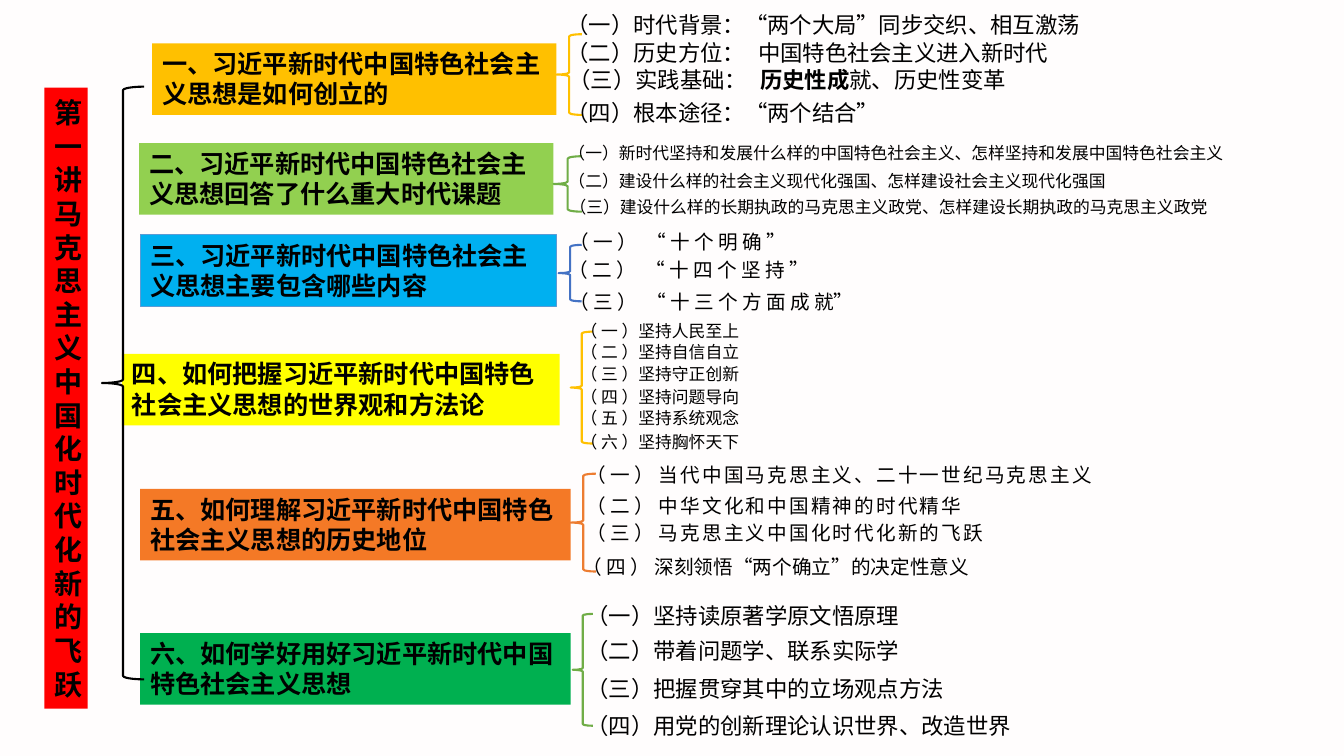
from dataclasses import dataclass, field

from lxml import etree
from pptx import Presentation
from pptx.dml.color import RGBColor
from pptx.enum.lang import MSO_LANGUAGE_ID
from pptx.enum.shapes import MSO_SHAPE
from pptx.enum.text import MSO_ANCHOR, MSO_AUTO_SIZE, PP_ALIGN
from pptx.oxml.ns import qn
from pptx.util import Inches, Pt

RECTANGLE, LEFT_BRACE = MSO_SHAPE.RECTANGLE, MSO_SHAPE.LEFT_BRACE
LEFT, JUSTIFY = PP_ALIGN.LEFT, PP_ALIGN.JUSTIFY
TOP, MIDDLE = MSO_ANCHOR.TOP, MSO_ANCHOR.MIDDLE
GROW = MSO_AUTO_SIZE.SHAPE_TO_FIT_TEXT
CHINESE = MSO_LANGUAGE_ID.SIMPLIFIED_CHINESE


@dataclass(frozen=True)
class Theme:
    font: str = "Noto Sans CJK SC"
    latin: str = "Arial"
    ink: str = "000000"
    page: str = "FFFDFD"
    banner: str = "FF0000"
    banner_size: int = 20
    heading_size: int = 18
    large: int = 16
    medium: int = 14
    small: int = 12
    brace_line: float = 1.5
    edge_line: float = 0.75


THEME = Theme()


@dataclass(frozen=True)
class Box:
    left: float
    top: float
    width: float
    height: float

    def inner(self, left, top, width, height):
        return Box(self.left + left, self.top + top, width, height)

    def lengths(self):
        return [Inches(n) for n in (self.left, self.top, self.width, self.height)]


@dataclass(frozen=True)
class Topic:
    region: Box
    title: str
    heading: tuple
    fill: str
    brace: tuple
    brace_color: str
    size: int
    rows: list
    edge: str = ""
    font: str = THEME.font
    tab: float = 0
    spacing: dict = field(default_factory=dict)


TOPICS = [
    Topic(Box(1.2, 0.06, 10.5, 1.24), "一、习近平新时代中国特色社会主义思想是如何创立的",
          (0.31, 0.37, 4.01, 0.71), "FFC000", (4.32, 0.28, 0.25, 0.8), "FFC000", THEME.large, [
              (4.32, 0, [("（一）时代背景：“两个大局”同步交织、相互激荡", {})]),
              (4.32, 0.28, [("（二）历史方位：\t中国特色社会主义进入新时代", {})]),
              (4.34, 0.55, [("（三）实践基础：\t", {}), ("历史性成", {"bold": True}), ("就、历史性变革", {})]),
              (4.32, 0.87, [("（四）根本途径：“两个结合”", {})])],
          font=THEME.latin, tab=1.9),
    Topic(Box(1.2, 1.27, 11.5, 0.93), "二、习近平新时代中国特色社会主义思想回答了什么重大时代课题",
          (0.18, 0.15, 4.11, 0.71), "92D050", (4.29, 0.28, 0.28, 0.55), "70AD47", THEME.small, [
              (4.34, 0, [("（一）新时代坚持和发展什么样的中国特色社会主义、怎样坚持和发展中国特色社会主义", {})]),
              (4.34, 0.37, [("（二）建设什么样的社会主义现代化强国、怎样建设社会主义现代化强国", {})]),
              (4.35, 0.53, [("（三）建设什么样的长期执政的马克思主义政党、怎样建设长期执政的马克思主义政党", {})])],
          spacing={0: 1.5, 2: 1.5}),
    Topic(Box(1.2, 2.23, 9, 0.94), "三、习近平新时代中国特色社会主义思想主要包含哪些内容",
          (0.19, 0.1, 4.13, 0.71), "00B0F0", (4.34, 0.2, 0.23, 0.56), "4472C4", THEME.medium, [
              (4.35, 0, [("（ 一 ）\t“ 十 个 明 确 ”", {})]),
              (4.34, 0.28, [("（ 二 ）\t“ 十 四 个 坚 持 ”", {})]),
              (4.35, 0.6, [("（ 三 ）\t“ 十 三 个 方 面 成 就”", {})])],
          edge="5B9BD5", tab=0.76),
    Topic(Box(1.2, 3.13, 8.5, 1.4), "四、如何把握习近平新时代中国特色社会主义思想的世界观和方法论",
          (0.01, 0.38, 4.34, 0.71), "FFFF00", (4.46, 0.16, 0.22, 1.11), "FFC000", THEME.small, [
              (4.46, 0, [("（ 一 ）坚持人民至上", {})]),
              (4.46, 0.21, [("（ 二 ）坚持自信自立", {})]),
              (4.46, 0.43, [("（ 三 ）坚持守正创新", {})]),
              (4.46, 0.66, [("（ 四 ）坚持问题导向", {})]),
              (4.46, 0.87, [("（ 五 ）坚持系统观念", {})]),
              (4.46, 1.1, [("（ 六 ）坚持胸怀天下", {})])]),
    Topic(Box(1.2, 4.54, 11.2, 1.26), "五、如何理解习近平新时代中国特色社会主义思想的历史地位",
          (0.19, 0.31, 4.27, 0.71), "F47926", (4.46, 0.16, 0.25, 0.97), "ED7D31", THEME.medium, [
              (4.52, 0, [("（ 一 ） ", {}), ("当代中国马克思主义、二十一世纪马克思主义", {"tracking": 1.5})]),
              (4.52, 0.31, [("（ 二 ） ", {}), ("中华文化和中国精神的时代精华", {"tracking": 1.5})]),
              (4.52, 0.58, [("（ 三 ） ", {}), ("马克思主义中国化时代化新的飞跃", {"tracking": 1.5})]),
              (4.48, 0.92, [("（ 四 ） 深刻领悟“两个确立”的决定性意义", {})])]),
    Topic(Box(1.2, 5.92, 11.5, 1.47), "六、如何学好用好习近平新时代中国特色社会主义思想",
          (0.19, 0.36, 4.27, 0.71), "00B050", (4.48, 0.17, 0.2, 1.11), "70AD47", THEME.large, [
              (4.52, 0, [("（一）坚持读原著学原文悟原理", {})]),
              (4.52, 0.35, [("（二）带着问题学、联系实际学", {})]),
              (4.52, 0.73, [("（三）把握贯穿其中的立场观点方法", {})]),
              (4.52, 1.1, [("（四）用党的创新理论认识世界、改造世界", {})])]),
]


def color(value):
    return RGBColor.from_string(value)


def add_span(para, text, size, font=THEME.font, bold=False, tracking=0):
    span = para.add_run()
    span.text = text
    formats = {"size": Pt(size), "name": font, "bold": bold, "language_id": CHINESE}
    for name, value in formats.items():
        setattr(span.font, name, value)
    span.font.color.rgb = color(THEME.ink)
    properties = span.font._element
    if tracking:
        properties.set("spc", str(int(tracking * 100)))
    east_asian = etree.Element(qn("a:ea"), typeface=THEME.font)
    properties.find(qn("a:latin")).addnext(east_asian)


def add_tab(para, position):
    tabs = etree.SubElement(para._p.get_or_add_pPr(), qn("a:tabLst"))
    etree.SubElement(tabs, qn("a:tab"), pos=str(Inches(position)), algn="l")


def prepare_frame(shape, anchor):
    frame = shape.text_frame
    formats = {"word_wrap": True, "auto_size": GROW, "vertical_anchor": anchor}
    for name, value in formats.items():
        setattr(frame, name, value)
    return frame


def add_panel(page, box, fill, paragraphs, size, align, edge=""):
    panel = page.shapes.add_shape(RECTANGLE, *box.lengths())
    panel.shadow.inherit = False
    panel.fill.solid()
    panel.fill.fore_color.rgb = color(fill)
    if edge:
        panel.line.color.rgb = color(edge)
        panel.line.width = Pt(THEME.edge_line)
    else:
        panel.line.fill.background()
    frame = prepare_frame(panel, MIDDLE if align == JUSTIFY else TOP)
    for index, text in enumerate(paragraphs):
        para = frame.add_paragraph() if index else frame.paragraphs[0]
        para.alignment = align
        add_span(para, text, size, bold=True)


def add_brace(page, box, line_color):
    brace = page.shapes.add_shape(LEFT_BRACE, *box.lengths())
    brace.shadow.inherit = False
    brace.fill.background()
    brace.line.color.rgb = color(line_color)
    brace.line.width = Pt(THEME.brace_line)


def add_topic(page, topic):
    region = topic.region
    add_panel(page, region.inner(*topic.heading), topic.fill, [topic.title],
              THEME.heading_size, LEFT, topic.edge)
    add_brace(page, region.inner(*topic.brace), topic.brace_color)
    for index, (left, top, spans) in enumerate(topic.rows):
        spacing = topic.spacing.get(index, 1)
        height = 0.1 + 1.2 * spacing * topic.size / 72
        box = region.inner(left, top, region.width - left, height)
        frame = prepare_frame(page.shapes.add_textbox(*box.lengths()), TOP)
        para = frame.paragraphs[0]
        para.line_spacing = spacing
        if topic.tab:
            add_tab(para, topic.tab)
        for text, formats in spans:
            add_span(para, text, topic.size, topic.font, **formats)


def add_lecture(page, box):
    add_panel(page, box.inner(0, 0.01, 0.43, 6.16), THEME.banner,
              ["第一讲", "马克思主义中国化时代化新的飞跃"], THEME.banner_size, JUSTIFY)
    add_brace(page, box.inner(0.57, 0, 0.42, 5.88), THEME.ink)


def main():
    deck = Presentation()
    deck.slide_width, deck.slide_height = Inches(13.33), Inches(7.5)
    page = deck.slides.add_slide(deck.slide_layouts[6])
    page.background.fill.solid()
    page.background.fill.fore_color.rgb = color(THEME.page)
    for topic in TOPICS:
        add_topic(page, topic)
    add_lecture(page, Box(0.44, 0.86, 1, 6.2))
    deck.save("out.pptx")


if __name__ == "__main__":
    main()
